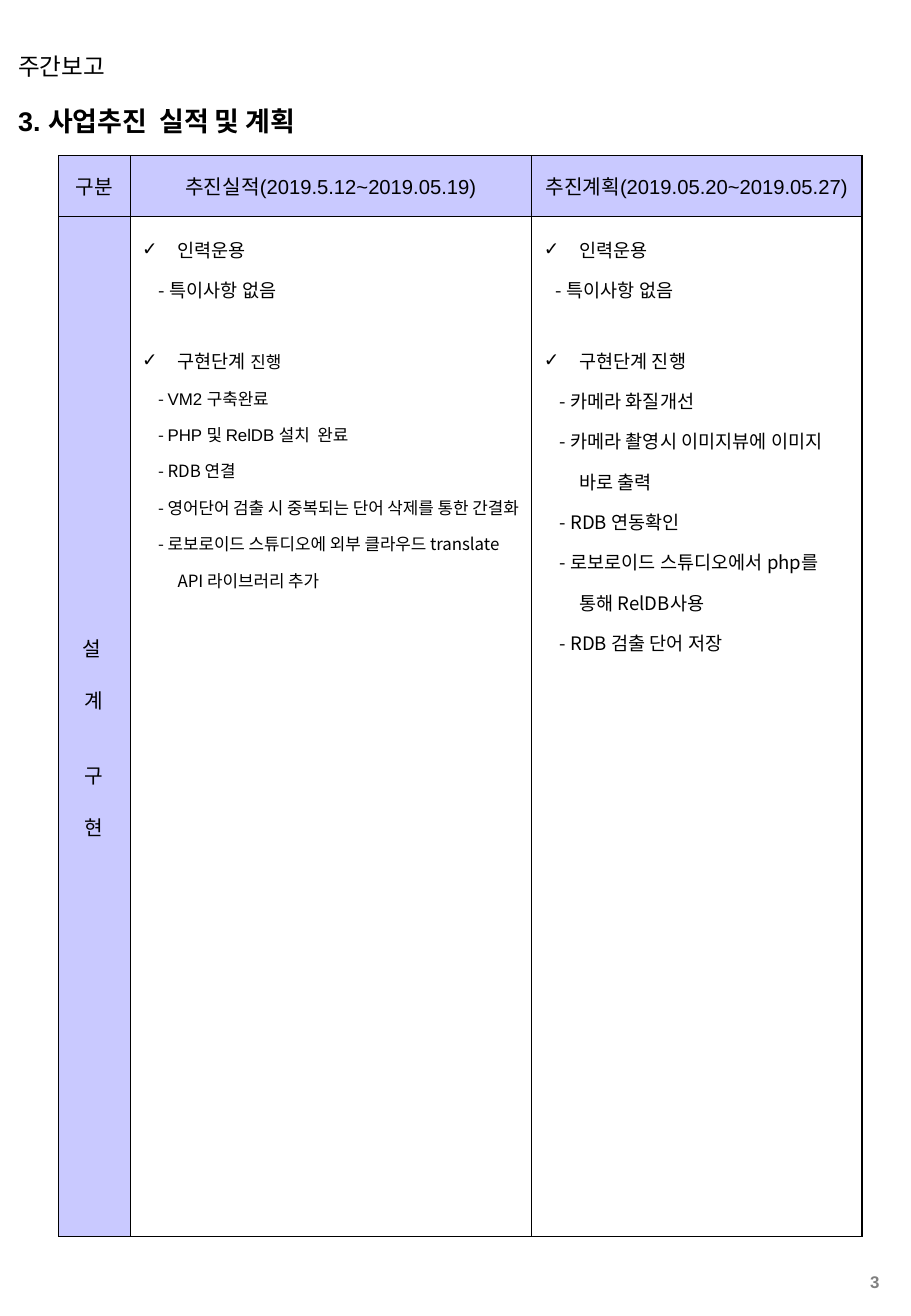
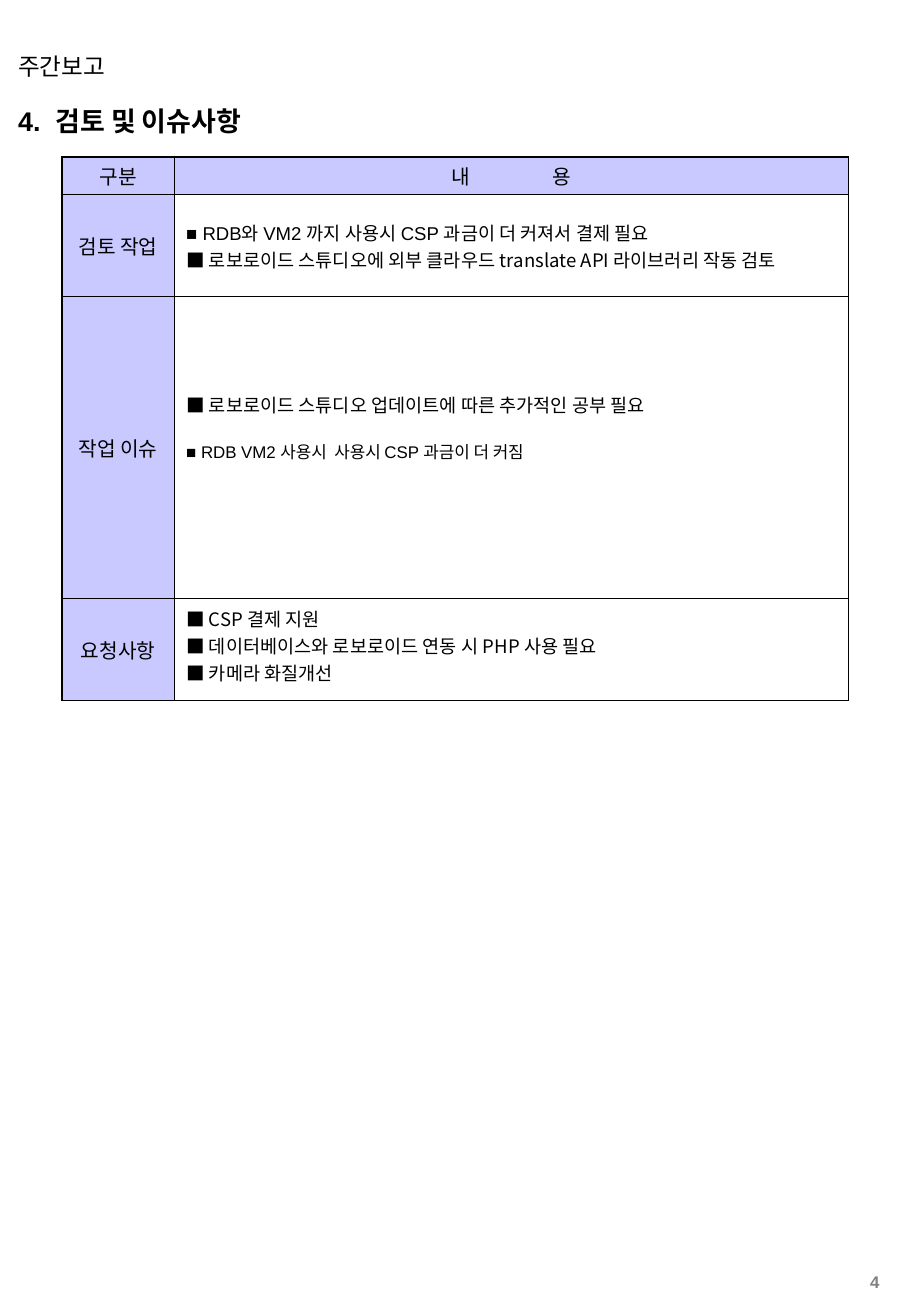
from lxml import etree
from pptx import Presentation
from pptx.dml.color import RGBColor
from pptx.enum.text import MSO_ANCHOR, PP_ALIGN
from pptx.oxml.ns import qn
from pptx.util import Cm, Pt

LEFT, CENTER, RIGHT = PP_ALIGN.LEFT, PP_ALIGN.CENTER, PP_ALIGN.RIGHT
TOP, MIDDLE = MSO_ANCHOR.TOP, MSO_ANCHOR.MIDDLE
LATIN, KOREAN = "Arial", "Noto Sans CJK KR"
BLACK, GRAY, WHITE, LAVENDER = "000000", "808080", "FFFFFF", "C9C9FF"
THIN, THICK = Pt(0.45), Pt(1.08)
HANGING = 0.74


def add_text(frame, text, size=12, font=LATIN, color=BLACK, bold=False, align=LEFT,
             before=0, line=1.0, margin=0, indent=0, bullet=None):
    """Add a paragraph; text is a string or a list of (text, overrides) runs."""
    paragraph = frame.paragraphs[0]
    if paragraph.runs:
        paragraph = frame.add_paragraph()
    paragraph.alignment = align
    paragraph.line_spacing = line
    paragraph.space_before = Pt(before)
    properties = paragraph._p.get_or_add_pPr()
    properties.set("marL", str(Cm(margin)))
    properties.set("indent", str(Cm(indent)))
    if bullet:
        bullet_color = etree.SubElement(properties, qn("a:buClr"))
        etree.SubElement(bullet_color, qn("a:srgbClr"), val=color)
        etree.SubElement(properties, qn("a:buFont"), typeface=LATIN)
        etree.SubElement(properties, qn("a:buChar"), char=bullet)
    else:
        etree.SubElement(properties, qn("a:buNone"))

    for content, changes in [(text, {})] if isinstance(text, str) else text:
        run = paragraph.add_run()
        run.text = content
        run.font.size = Pt(changes.get("size", size))
        run.font.bold = bold
        run.font.color.rgb = RGBColor.from_string(color)
        run.font.name = changes.get("font", font)
        run_properties = run._r.get_or_add_rPr()
        etree.SubElement(run_properties, qn("a:ea"), typeface=KOREAN)
        if "spacing" in changes:
            run_properties.set("spc", str(changes["spacing"] * 100))


def add_grid(slide, left, top, widths, heights, thick_edges):
    """Add a table with lavender header row and label column; thick_edges names outer sides."""
    frame = slide.shapes.add_table(len(heights), len(widths), Cm(left), Cm(top),
                                   Cm(sum(widths)), Cm(sum(heights)))
    table = frame.table
    table.first_row = table.horz_banding = False
    for column, width in zip(table.columns, widths):
        column.width = Cm(width)
    for row, height in zip(table.rows, heights):
        row.height = Cm(height)
    for r in range(len(heights)):
        for c in range(len(widths)):
            cell = table.cell(r, c)
            cell.vertical_anchor = MIDDLE
            if r == 0:
                cell.margin_top = cell.margin_bottom = Cm(0.05)
            properties = cell._tc.get_or_add_tcPr()
            outer = {"L": c == 0, "R": c == len(widths) - 1,
                     "T": r == 0, "B": r == len(heights) - 1}
            for side, is_outer in outer.items():
                width = THICK if is_outer and side in thick_edges else THIN
                border = etree.SubElement(properties, qn(f"a:ln{side}"), w=str(width))
                fill = etree.SubElement(border, qn("a:solidFill"))
                etree.SubElement(fill, qn("a:srgbClr"), val=BLACK)
            cell.fill.solid()
            shade = LAVENDER if r == 0 or c == 0 else WHITE
            cell.fill.fore_color.rgb = RGBColor.from_string(shade)
    return table


presentation = Presentation()
presentation.slide_width = Cm(19.05)
presentation.slide_height = Cm(27.53)

# Shared header, title and page number
slides = []
for number, title in [("3", "3. 사업추진  실적 및 계획"), ("4", "4.  검토 및 이슈사항")]:
    slide = presentation.slides.add_slide(presentation.slide_layouts[6])
    slides.append(slide)
    for text, box, style in [
        (number, (17.22, 26.47, 1.42, 0.61),
         {"size": 10, "color": GRAY, "bold": True, "align": RIGHT}),
        ("주간보고", (0.13, 0.97, 15.11, 0.86), {"size": 14}),
        (title, (0.13, 2.06, 13.61, 0.94), {"size": 16, "bold": True}),
    ]:
        text_frame = slide.shapes.add_textbox(*[Cm(length) for length in box]).text_frame
        text_frame.word_wrap = True
        add_text(text_frame, text, **style)
progress_slide, issue_slide = slides

# Progress and plan
progress = add_grid(progress_slide, 1.22, 3.25, [1.5, 8.4, 6.9], [1.27, 21.34], "R")
for column, heading in enumerate(["구분", "추진실적(2019.5.12~2019.05.19)",
                                  "추진계획(2019.05.20~2019.05.27)"]):
    add_text(progress.cell(0, column).text_frame, heading, align=CENTER)

stage_cell = progress.cell(1, 0)
stage_cell.margin_top = Cm(0.6)
for syllable, before in [("설 ", 0), ("계", 13.5), ("구", 27), ("현", 13.5)]:
    add_text(stage_cell.text_frame, syllable, align=CENTER, before=before)

done_items = [
    ("EC 구축완료".replace("EC", "VM2"), LATIN),
    ("PHP 및 RelDB 설치  완료", LATIN),
    ("RDB 연결", KOREAN),
    ("영어단어 검출 시 중복되는 단어 삭제를 통한 간결화", LATIN),
    ("로보로이드 스튜디오에 외부 클라우드 translate API 라이브러리 추가", KOREAN),
]
planned_items = [
    ("카메라 화질개선", KOREAN),
    ("카메라 촬영시 이미지뷰에 이미지 바로 출력", KOREAN),
    ("RDB 연동확인", KOREAN),
    ("로보로이드 스튜디오에서 php를 통해 RelDB사용", KOREAN),
    ("RDB 검출 단어 저장", KOREAN),
]
for column, items, item_size, first_dash in [(1, done_items, 10, 0.35),
                                             (2, planned_items, 11, 0.25)]:
    cell = progress.cell(1, column)
    cell.vertical_anchor = TOP
    frame = cell.text_frame
    body = {"font": KOREAN, "line": 1.5, "margin": HANGING}
    check = {"size": 11, "indent": -HANGING, "bullet": "✓", **body}
    add_text(frame, "인력운용", **check)
    add_text(frame, "- 특이사항 없음", size=11, indent=first_dash - HANGING, **body)
    add_text(frame, [("구현단계 ", {}), ("진행", {"size": item_size})], before=18, **check)
    for item, font in items:
        add_text(frame, [("- ", {}), (item, {"font": font})], size=item_size,
                 indent=0.33 - HANGING, **body)

# Reviews and issues
issues = add_grid(issue_slide, 1.3, 3.28, [2.34, 14.1], [0.79, 2.13, 6.32, 2.13], "LTR")
for row, label in enumerate(["구분", "검토 작업", "작업 이슈", "요청사항"]):
    add_text(issues.cell(row, 0).text_frame, label, align=CENTER)
add_text(issues.cell(0, 1).text_frame, [("내 ", {"spacing": 23}), ("용", {})], align=CENTER)

issue_rows = [
    (0.13, [("RDB와 VM2 까지 사용시 CSP 과금이 더 커져서 결제 필요", {}),
            ("로보로이드 스튜디오에 외부 클라우드 translate API 라이브러리 작동 검토",
             {"font": KOREAN})]),
    (0.97, [("로보로이드 스튜디오 업데이트에 따른 추가적인 공부 필요", {"before": 13.8}),
            ("RDB VM2 사용시  사용시 CSP 과금이 더 커짐", {"size": 10, "before": 12.5})]),
    (0.3, [("CSP 결제 지원", {"font": KOREAN}),
           ("데이터베이스와 로보로이드 연동 시 PHP 사용 필요", {"font": KOREAN}),
           ("카메라 화질개선", {"font": KOREAN})]),
]
for row, (bottom, lines) in enumerate(issue_rows, start=1):
    cell = issues.cell(row, 1)
    cell.margin_bottom = Cm(bottom)
    for text, style in lines:
        add_text(cell.text_frame, f"■ {text}", **{"size": 11, **style})

presentation.save("out.pptx")
